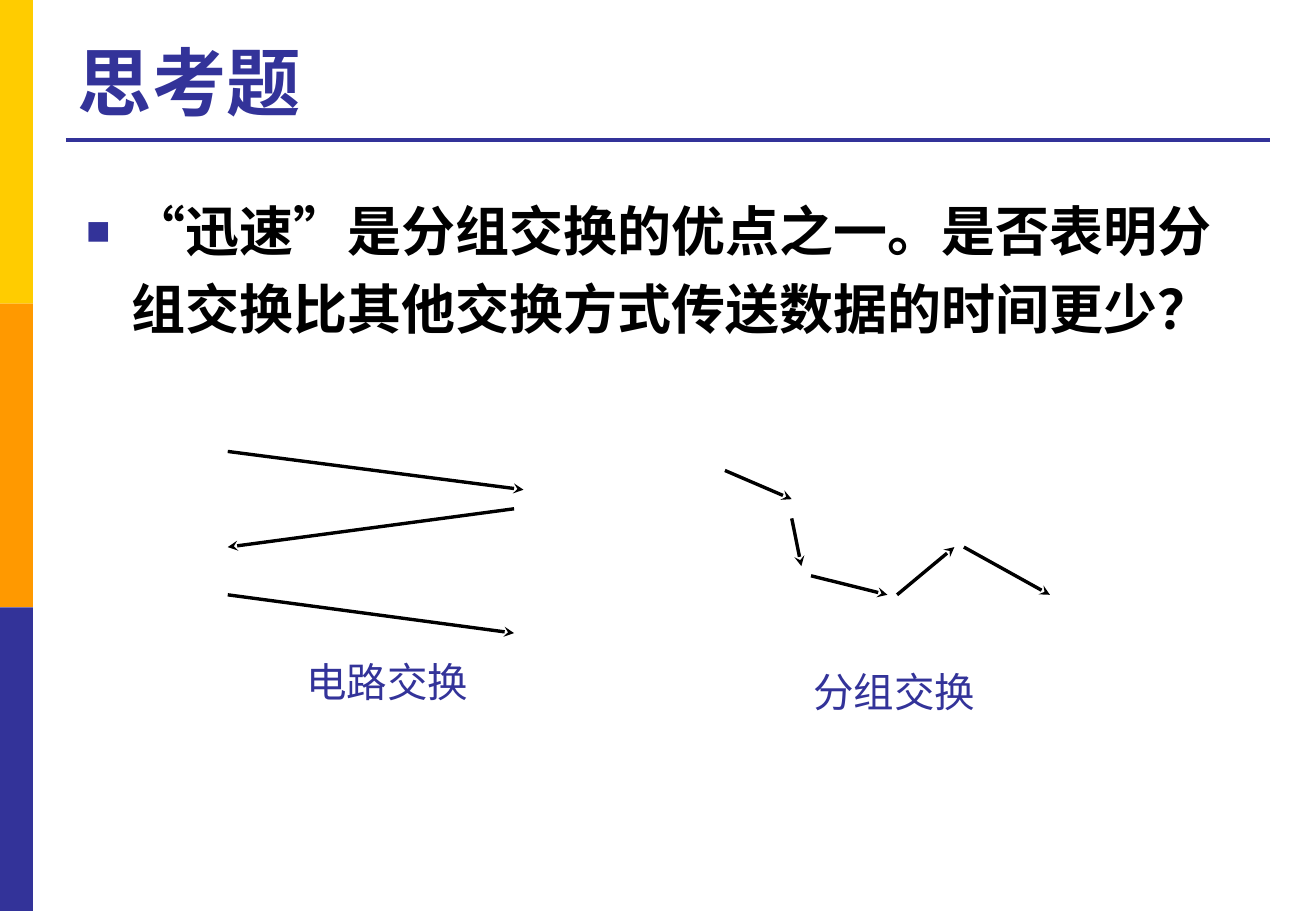
"""Builds a slide that compares circuit switching with packet switching."""
from lxml.etree import SubElement
from pptx import Presentation
from pptx.dml.color import RGBColor
from pptx.enum.lang import MSO_LANGUAGE_ID
from pptx.enum.shapes import MSO_CONNECTOR, MSO_SHAPE
from pptx.enum.text import MSO_ANCHOR, MSO_AUTO_SIZE, PP_ALIGN
from pptx.oxml.ns import qn
from pptx.util import Pt

COLORS = {"yellow": "FFCC00", "orange": "FF9900", "indigo": "333399", "black": "000000"}
SLIDE_WIDTH, SLIDE_HEIGHT = 780, 540
BAND_WIDTH = 19.5
BANDS = ["yellow", "orange", "indigo"]
RULE = (39, 83, 753, 83)

TITLE = ("思考题", (39, 15, 714, 63))
QUESTION = (
    "“迅速”是分组交换的优点之一。是否表明分组交换比其他交换方式传送数据的时间更少？",
    (44, 106, 714, 124.5),
)
LABELS = [
    ("电路交换", (174.5, 386, 110.4, 36)),
    ("分组交换", (475, 391.7, 110.4, 36)),
]
CIRCUIT_ARROWS = [
    (135, 267.6, 310.3, 290.3),
    (304.7, 301.6, 135, 324.3),
    (135, 352.6, 304.7, 375.3),
]
PACKET_ARROWS = [
    (429.7, 278.9, 469.3, 295.9),
    (469.3, 307.3, 475, 335.6),
    (480.7, 341.3, 526, 352.6),
    (531.7, 352.6, 565.7, 324.3),
    (571.3, 324.3, 622.3, 352.6),
]

TITLE_FONT = {"name": "Arial", "size": Pt(44), "bold": True}
QUESTION_FONT = {"name": "Times New Roman", "size": Pt(32), "bold": True}
LABEL_FONT = {"name": "Arial", "size": Pt(24), "bold": False}
QUESTION_SPACING = {"line_spacing": 1.2, "space_before": Pt(6)}
QUESTION_INDENT = 27
BULLET = [
    ("a:buSzPct", {"val": "75000"}),
    ("a:buFont", {"typeface": "Arial"}),
    ("a:buChar", {"char": "■"}),
]


def points(values):
    return [Pt(value) for value in values]


def rgb(color):
    return RGBColor.from_string(COLORS[color])


def set_all(target, values):
    for key, value in values.items():
        setattr(target, key, value)


def write(frame, text, font, color):
    paragraph = frame.paragraphs[0]
    paragraph.alignment = PP_ALIGN.LEFT
    run = paragraph.add_run()
    run.text = text
    set_all(run.font, font)
    run.font.language_id = MSO_LANGUAGE_ID.SIMPLIFIED_CHINESE
    run.font.color.rgb = rgb(color)
    return paragraph


def add_line(slide, ends, color, width, head=None):
    line = slide.shapes.add_connector(MSO_CONNECTOR.STRAIGHT, *points(ends))
    line.line.color.rgb = rgb(color)
    line.line.width = Pt(width)
    properties = line._element.spPr
    if head:
        SubElement(properties.find(qn("a:ln")), qn("a:tailEnd"), type=head)
    SubElement(properties, qn("a:effectLst"))


def add_bands(slide):
    height = SLIDE_HEIGHT / len(BANDS)
    for index, color in enumerate(BANDS):
        box = points((0, index * height, BAND_WIDTH, height))
        band = slide.shapes.add_shape(MSO_SHAPE.RECTANGLE, *box)
        band.shadow.inherit = False
        band.fill.solid()
        band.fill.fore_color.rgb = rgb(color)
        band.line.fill.background()


def add_title(slide):
    text, box = TITLE
    title = slide.shapes.title
    set_all(title, dict(zip(("left", "top", "width", "height"), points(box))))
    frame = title.text_frame
    set_all(frame, {"vertical_anchor": MSO_ANCHOR.BOTTOM, "auto_size": MSO_AUTO_SIZE.NONE})
    write(frame, text, TITLE_FONT, "indigo")


def add_question(slide):
    text, box = QUESTION
    frame = slide.shapes.add_textbox(*points(box)).text_frame
    frame.word_wrap = True
    paragraph = write(frame, text, QUESTION_FONT, "black")
    set_all(paragraph, QUESTION_SPACING)
    properties = paragraph._p.get_or_add_pPr()
    properties.set("marL", str(Pt(QUESTION_INDENT)))
    properties.set("indent", str(-Pt(QUESTION_INDENT)))
    bullet_color = SubElement(properties, qn("a:buClr"))
    SubElement(bullet_color, qn("a:srgbClr"), val=COLORS["indigo"])
    for tag, attributes in BULLET:
        SubElement(properties, qn(tag), attributes)


def add_label(slide, text, box):
    frame = slide.shapes.add_textbox(*points(box)).text_frame
    set_all(frame, {"word_wrap": False, "auto_size": MSO_AUTO_SIZE.SHAPE_TO_FIT_TEXT})
    write(frame, text, LABEL_FONT, "indigo")


def main():
    deck = Presentation()
    deck.slide_width, deck.slide_height = points((SLIDE_WIDTH, SLIDE_HEIGHT))
    slide = deck.slides.add_slide(deck.slide_layouts[5])
    add_bands(slide)
    add_line(slide, RULE, "indigo", 2.25)
    add_title(slide)
    add_question(slide)
    for ends in CIRCUIT_ARROWS + PACKET_ARROWS:
        add_line(slide, ends, "black", 2, "stealth")
    for text, box in LABELS:
        add_label(slide, text, box)
    deck.save("out.pptx")


if __name__ == "__main__":
    main()
